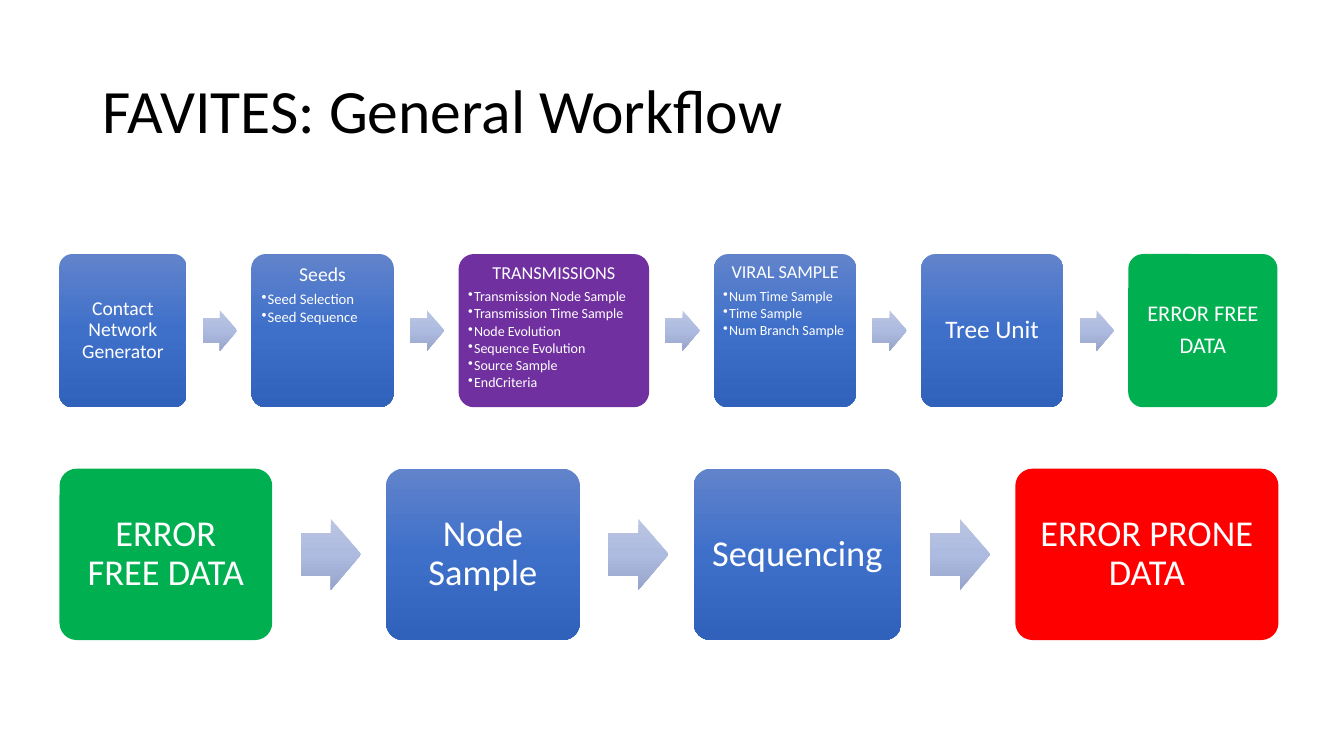
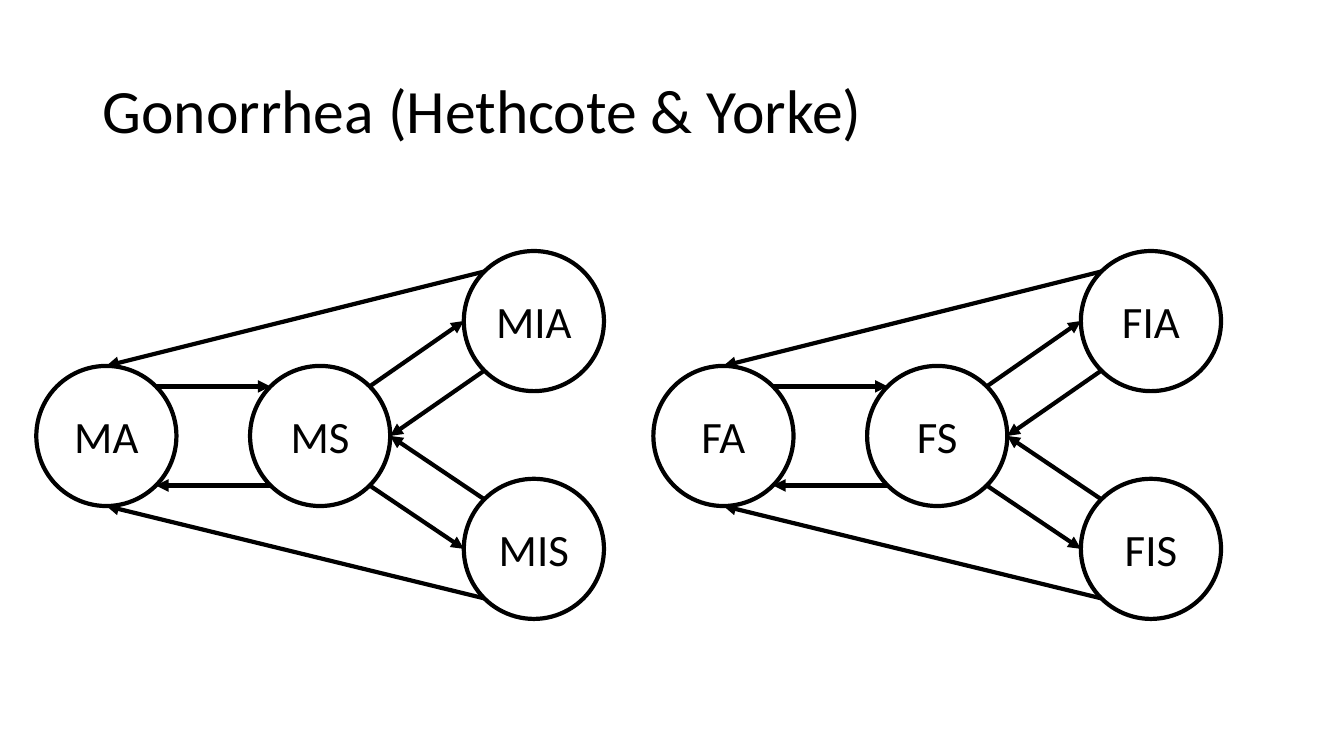
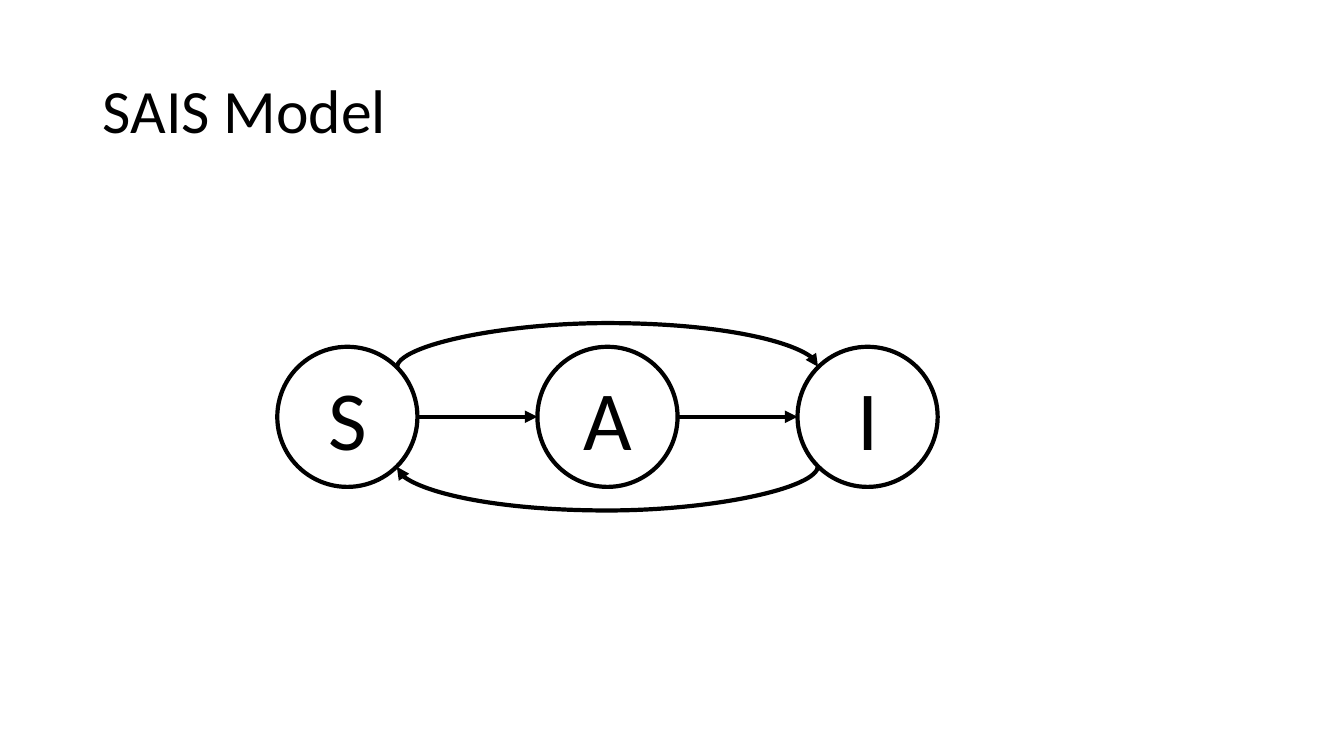
from copy import deepcopy
from dataclasses import dataclass
from math import cos, radians, sin

from lxml.etree import SubElement
from pptx import Presentation
from pptx.dml.color import RGBColor
from pptx.enum.shapes import MSO_CONNECTOR as Link, MSO_SHAPE as Shape
from pptx.enum.text import MSO_ANCHOR as Anchor, PP_ALIGN as Align
from pptx.oxml.ns import qn
from pptx.util import Inches, Pt


@dataclass(frozen=True)
class Theme:
    font: str = "Calibri"
    ink: str = "000000"
    light: str = "FFFFFF"
    blue: tuple = ("6183CB", "3E70CA", "3062BB")
    pale: tuple = ("BBC5E3", "AEBBE0", "98A4CB")
    purple: str = "7030A0"
    green: str = "00B050"
    red: str = "FF0000"
    title_size: int = 44
    state_size: int = 32
    letter_size: int = 60
    stage_size: int = 26
    line: int = 3


@dataclass(frozen=True)
class Step:
    width: float
    lines: tuple
    size: float
    inset: float
    fill: object = Theme.blue
    bullets: tuple = ()
    bullet_size: float = 10


THEME = Theme()
TITLE_BOX = (0.92, 0.4, 11.5, 1.45)
DIAMETER = 1.39
TOP, TOP_LEFT, LEFT, BOTTOM_LEFT, BOTTOM, BOTTOM_RIGHT, RIGHT, TOP_RIGHT = range(8)

PIPELINE = (
    Step(1.26, ("Contact Network Generator",), 14, 0.06),
    Step(1.41, ("Seeds",), 14, 0.06,
         bullets=("Seed Selection", "Seed Sequence"), bullet_size=10.5),
    Step(1.89, ("TRANSMISSIONS",), 13, 0.05, THEME.purple,
         ("Transmission Node Sample", "Transmission Time Sample", "Node Evolution",
          "Sequence Evolution", "Source Sample", "EndCriteria")),
    Step(1.41, ("VIRAL SAMPLE",), 13, 0.05,
         bullets=("Num Time Sample", "Time Sample", "Num Branch Sample")),
    Step(1.41, ("Tree Unit",), 18, 0.07),
    Step(1.48, ("ERROR FREE", "DATA"), 16, 0.07, THEME.green),
)
ERROR_STAGES = (
    Step(2.11, ("ERROR FREE DATA",), THEME.stage_size, 0.11, THEME.green),
    Step(1.92, ("Node Sample",), THEME.stage_size, 0.11),
    Step(2.06, ("Sequencing",), THEME.stage_size, 0.11),
    Step(2.61, ("ERROR PRONE DATA",), THEME.stage_size, 0.11, THEME.red),
)
STATE_PLACES = {"A": (0, 1.14), "S": (2.12, 1.14), "IA": (4.24, 0), "IS": (4.24, 2.26)}
STATE_LINKS = (
    ("A", TOP_RIGHT, "S", TOP_LEFT),
    ("S", TOP_RIGHT, "IA", LEFT),
    ("S", BOTTOM_RIGHT, "IS", LEFT),
    ("S", BOTTOM_LEFT, "A", BOTTOM_RIGHT),
    ("IA", BOTTOM_LEFT, "S", RIGHT),
    ("IS", TOP_LEFT, "S", RIGHT),
    ("IS", BOTTOM_LEFT, "A", BOTTOM),
    ("IA", TOP_LEFT, "A", TOP),
)


def inches(values):
    return [Inches(value) for value in values]


def write(para, text, size, color):
    span = para.add_run()
    span.text = text
    span.font.name = THEME.font
    span.font.size = Pt(size)
    span.font.color.rgb = RGBColor.from_string(color)


def next_para(frame):
    return frame.add_paragraph() if frame.paragraphs[0].runs else frame.paragraphs[0]


def add_title(page, text):
    frame = page.shapes.add_textbox(*inches(TITLE_BOX)).text_frame
    frame.word_wrap = True
    frame.vertical_anchor = Anchor.MIDDLE
    para = frame.paragraphs[0]
    para.line_spacing = 0.9
    write(para, text, THEME.title_size, THEME.ink)


def paint(shape, fill):
    shape.shadow.inherit = False
    shape.line.fill.background()
    if isinstance(fill, str):
        shape.fill.solid()
        shape.fill.fore_color.rgb = RGBColor.from_string(fill)
        return
    shape.fill.gradient()
    shape.fill.gradient_angle = 270
    stops = shape._element.xpath(".//a:gsLst")[0]
    stops.append(deepcopy(stops[0]))
    for stop, color, position in zip(shape.fill.gradient_stops, fill, (0, 0.5, 1)):
        stop.color.rgb = RGBColor.from_string(color)
        stop.position = position


def add_bullet(frame, text, size):
    para = next_para(frame)
    para.level = 1
    para.alignment = Align.LEFT
    para.line_spacing = 0.9
    para.space_after = Pt(size * 0.15)
    props = para._p.get_or_add_pPr()
    props.set("marL", str(Inches(0.06)))
    props.set("indent", str(-Inches(0.06)))
    SubElement(props, qn("a:buChar")).set("char", "•")
    write(para, text, size, THEME.light)


def add_step(page, box, step):
    card = page.shapes.add_shape(Shape.ROUNDED_RECTANGLE, *inches(box))
    card.adjustments[0] = 0.1
    paint(card, step.fill)
    frame = card.text_frame
    frame.word_wrap = True
    frame.vertical_anchor = Anchor.TOP if step.bullets else Anchor.MIDDLE
    frame.margin_left = frame.margin_right = Inches(step.inset)
    frame.margin_top = frame.margin_bottom = Inches(step.inset)
    for line in step.lines:
        para = next_para(frame)
        para.alignment = Align.CENTER
        para.line_spacing = 0.9
        para.space_after = Pt(step.size * 0.35)
        write(para, line, step.size, THEME.light)
    for bullet in step.bullets:
        add_bullet(frame, bullet, step.bullet_size)


def add_flow(page, box, steps):
    left, top, width, height = box
    gap = (width - sum(step.width for step in steps)) / (len(steps) - 1)
    arrow_width, arrow_height = gap * 0.53, gap * 0.62
    for index, step in enumerate(steps):
        add_step(page, (left, top, step.width, height), step)
        left += step.width
        if index < len(steps) - 1:
            arrow = page.shapes.add_shape(Shape.RIGHT_ARROW, *inches(
                (left + gap / 4, top + (height - arrow_height) / 2, arrow_width, arrow_height)))
            arrow.adjustments[0] = 0.6
            arrow.adjustments[1] = 0.5
            paint(arrow, THEME.pale)
        left += gap


def add_state(page, left, top, text, size):
    state = page.shapes.add_shape(Shape.OVAL, *inches((left, top, DIAMETER, DIAMETER)))
    state.shadow.inherit = False
    state.fill.background()
    state.line.color.rgb = RGBColor.from_string(THEME.ink)
    state.line.width = Pt(THEME.line)
    state.text_frame.vertical_anchor = Anchor.MIDDLE
    para = state.text_frame.paragraphs[0]
    para.alignment = Align.CENTER
    write(para, text, size, THEME.ink)
    return state


def site_point(state, site):
    angle = radians(90 + 45 * site)
    radius = state.width / 2
    return (round(state.left + radius + radius * cos(angle)),
            round(state.top + radius - radius * sin(angle)))


def finish_link(link, source, source_site, target, target_site):
    link.line.color.rgb = RGBColor.from_string(THEME.ink)
    link.line.width = Pt(THEME.line)
    outline = link._element.xpath("./p:spPr/a:ln")[0]
    SubElement(outline, qn("a:tailEnd")).set("type", "triangle")
    SubElement(link._element.spPr, qn("a:effectLst"))
    ends = link._element.nvCxnSpPr.cNvCxnSpPr
    begin, end = ends.get_or_add_stCxn(), ends.get_or_add_endCxn()
    begin.id, begin.idx = source.shape_id, source_site
    end.id, end.idx = target.shape_id, target_site


def add_link(page, source, source_site, target, target_site):
    link = page.shapes.add_connector(
        Link.STRAIGHT, *site_point(source, source_site), *site_point(target, target_site))
    finish_link(link, source, source_site, target, target_site)


def add_curve(page, source, source_site, target, target_site, bulge=0.45):
    start_x, start_y = site_point(source, source_site)
    end_x, end_y = site_point(target, target_site)
    thickness = Inches(0.01)
    length = abs(end_x - start_x)
    left = (start_x + end_x - thickness) // 2
    top = (start_y + end_y - length) // 2
    corners = [(left, top), (left + thickness, top + length)]
    if start_x < end_x:
        corners.reverse()
    link = page.shapes.add_connector(Link.CURVE, *corners[0], *corners[1])
    link._element.xpath("./p:spPr/a:xfrm")[0].set("rot", "5400000")
    geometry = link._element.xpath("./p:spPr/a:prstGeom")[0]
    guides = geometry.find(qn("a:avLst"))
    if guides is None:
        guides = SubElement(geometry, qn("a:avLst"))
    guide = SubElement(guides, qn("a:gd"))
    guide.set("name", "adj1")
    guide.set("fmla", f"val {round(Inches(bulge) / thickness * 100000)}")
    finish_link(link, source, source_site, target, target_site)


def add_group_model(page, left, top, prefix):
    states = {name: add_state(page, left + x, top + y, prefix + name, THEME.state_size)
              for name, (x, y) in STATE_PLACES.items()}
    for source, source_site, target, target_site in STATE_LINKS:
        add_link(page, states[source], source_site, states[target], target_site)


def add_chain_model(page, left, top, pitch):
    susceptible, alert, infected = [
        add_state(page, left + index * pitch, top, letter, THEME.letter_size)
        for index, letter in enumerate("SAI")]
    add_link(page, susceptible, RIGHT, alert, LEFT)
    add_link(page, alert, RIGHT, infected, LEFT)
    add_curve(page, susceptible, TOP_RIGHT, infected, TOP_LEFT)
    add_curve(page, infected, BOTTOM_LEFT, susceptible, BOTTOM_RIGHT)


def add_page(deck, title):
    page = deck.slides.add_slide(deck.slide_layouts[6])
    add_title(page, title)
    return page


def workflow_page(deck):
    page = add_page(deck, "FAVITES: General Workflow")
    add_flow(page, (0.59, 2.52, 12.08, 1.52), PIPELINE)
    add_flow(page, (0.59, 4.65, 12.09, 1.7), ERROR_STAGES)


def gonorrhea_page(deck):
    page = add_page(deck, "Gonorrhea (Hethcote & Yorke)")
    for left, prefix in ((0.36, "M"), (6.48, "F")):
        add_group_model(page, left, 2.49, prefix)


def sais_page(deck):
    page = add_page(deck, "SAIS Model")
    add_chain_model(page, 2.75, 3.44, 2.58)


deck = Presentation()
deck.slide_width, deck.slide_height = Inches(13.33), Inches(7.5)
workflow_page(deck)
gonorrhea_page(deck)
sais_page(deck)
deck.save("out.pptx")
